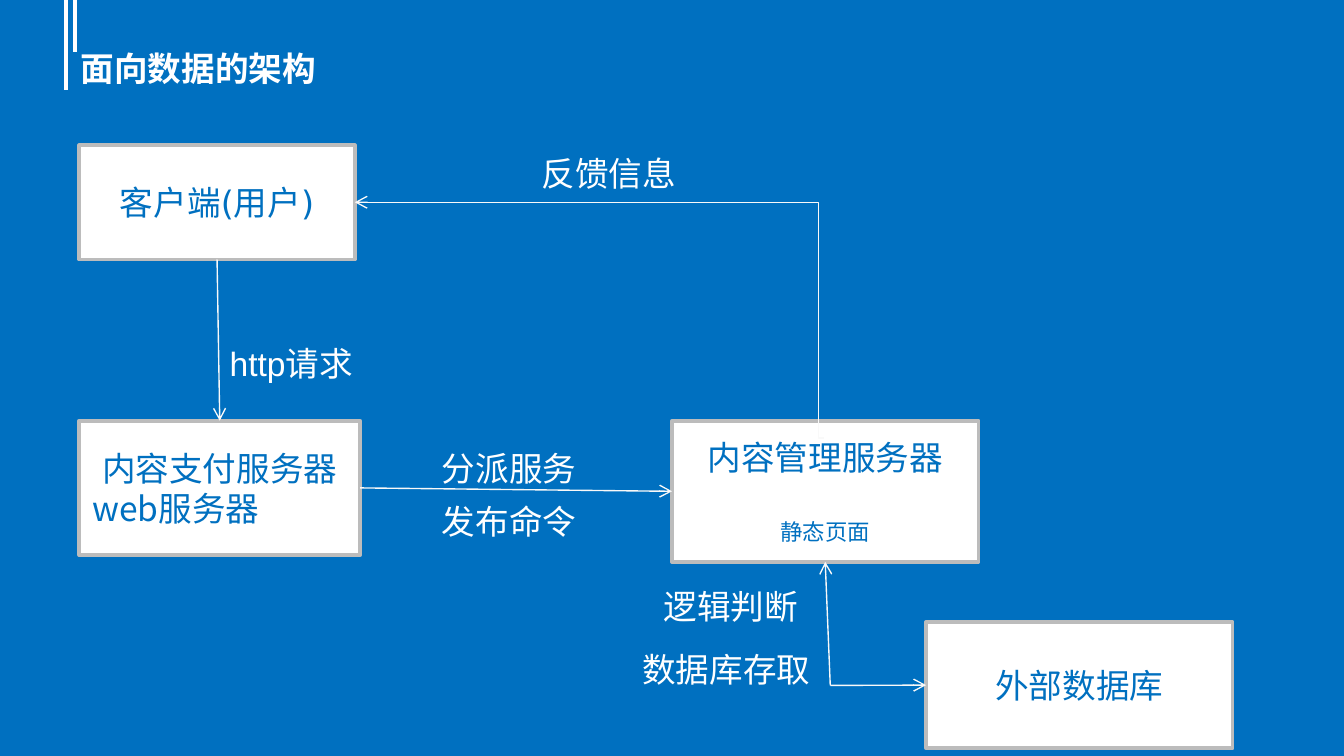
from dataclasses import dataclass

import pptx
import pptx.dml.color
import pptx.enum.shapes
import pptx.enum.text
import pptx.oxml
import pptx.oxml.ns
import pptx.util

Pt = pptx.util.Pt
RGB = pptx.dml.color.RGBColor.from_string
SHAPE = pptx.enum.shapes.MSO_SHAPE
CONNECTOR = pptx.enum.shapes.MSO_CONNECTOR
ALIGN = pptx.enum.text.PP_ALIGN
ANCHOR = pptx.enum.text.MSO_ANCHOR
TOP, LEFT, BOTTOM, RIGHT = range(4)


@dataclass(frozen=True)
class Theme:
    blue: str = "0070C0"
    white: str = "FFFFFF"
    border: str = "BCBCBC"
    arrow: str = "F9F9F9"
    body: int = 18
    small: int = 12
    title_font: str = "DejaVu Sans"
    box_font: str = "Noto Sans CJK SC"
    label_font: str = "Arial"


class Deck:
    def __init__(self, prs, theme):
        self.theme = theme
        self.slide = prs.slides.add_slide(prs.slide_layouts[5])
        fill = self.slide.background.fill
        fill.solid()
        fill.fore_color.rgb = RGB(theme.blue)

    def set_text(self, p, text, font, color, size=None, align=ALIGN.LEFT, bold=False):
        p.text = text
        p.alignment = align
        p.font.name = font
        p.font.size = Pt(size or self.theme.body)
        p.font.bold = bold
        p.font.color.rgb = RGB(color)

    def title(self, text, x, y, w, h):
        sp = self.slide.shapes.title
        sp.left, sp.top, sp.width, sp.height = Pt(x), Pt(y), Pt(w), Pt(h)
        tf = sp.text_frame
        tf.vertical_anchor = ANCHOR.MIDDLE
        self.set_text(tf.paragraphs[0], text, self.theme.title_font, self.theme.white, bold=True)

    def box(self, lines, x, y, w, h, shape=SHAPE.FLOWCHART_PROCESS, font=None):
        """Draw a box; each line is (text, size, alignment, space before)."""
        sp = self.slide.shapes.add_shape(shape, Pt(x), Pt(y), Pt(w), Pt(h))
        sp.shadow.inherit = False
        sp.fill.solid()
        sp.fill.fore_color.rgb = RGB(self.theme.white)
        sp.line.color.rgb = RGB(self.theme.border)
        sp.line.width = Pt(2)
        tf = sp.text_frame
        tf.word_wrap = True
        tf.vertical_anchor = ANCHOR.MIDDLE
        for i, (text, size, align, gap) in enumerate(lines):
            p = tf.add_paragraph() if i else tf.paragraphs[0]
            if gap:
                p.space_before = Pt(gap)
            self.set_text(p, text, font or self.theme.box_font, self.theme.blue, size, align)
        return sp

    def label(self, text, x, y, w):
        sp = self.slide.shapes.add_textbox(Pt(x), Pt(y), Pt(w), Pt(29))
        tf = sp.text_frame
        tf.word_wrap = True
        tf.auto_size = pptx.enum.text.MSO_AUTO_SIZE.SHAPE_TO_FIT_TEXT
        self.set_text(tf.paragraphs[0], text, self.theme.label_font, self.theme.white)

    def line(self, start, end, color, width, kind=CONNECTOR.STRAIGHT):
        cn = self.slide.shapes.add_connector(kind, *(Pt(v) for v in (*start, *end)))
        cn.line.color.rgb = RGB(color)
        cn.line.width = Pt(width)
        cn._element.spPr.append(pptx.oxml.parse_xml(
            f'<a:effectLst {pptx.oxml.ns.nsdecls("a")}/>'))
        return cn

    def arrow(self, start=(0, 0), end=(0, 0), source=None, target=None,
              kind=CONNECTOR.STRAIGHT, bend=None):
        """Draw an arrow; source and target are (box, side), bend is in 1/100000."""
        cn = self.line(start, end, self.theme.arrow, 0.75, kind)
        if source:
            cn.begin_connect(*source)
        if target:
            cn.end_connect(*target)
        ns = pptx.oxml.ns.nsdecls("a")
        cn._element.spPr.get_or_add_ln().append(pptx.oxml.parse_xml(
            f'<a:tailEnd {ns} type="arrow"/>'))
        if bend is not None:
            cn._element.spPr.prstGeom.get_or_add_avLst().append(pptx.oxml.parse_xml(
                f'<a:gd {ns} name="adj1" fmla="val {bend}"/>'))


def main():
    prs = pptx.Presentation()
    prs.slide_width, prs.slide_height = Pt(720), Pt(405)
    theme = Theme()
    deck = Deck(prs, theme)

    for x, length in ((35.3, 48.2), (40.3, 28.1)):
        deck.line((x, 0), (x, length), theme.white, 2.25)
    deck.title("面向数据的架构", 36, 16.5, 648, 40.3)

    body, center = theme.body, ALIGN.CENTER
    client = deck.box([("客户端(用户)", body, center, 0)],
                      42.5, 77.8, 147.6, 61.2, font=theme.title_font)
    web = deck.box([("内容支付服务器", body, center, 0), ("web服务器", body, ALIGN.LEFT, 0)],
                   42.5, 225.4, 150.5, 72, SHAPE.RECTANGLE)
    manager = deck.box([("内容管理服务器", body, center, 0), ("静态页面", theme.small, center, 22)],
                       360, 225.4, 164.2, 75.6)
    database = deck.box([("外部数据库", body, center, 0)], 496.1, 333.2, 164.2, 67.7)

    deck.arrow(source=(client, BOTTOM), target=(web, TOP))
    deck.arrow(source=(web, RIGHT), target=(manager, LEFT))
    deck.arrow((441.4, 234.7), (190.1, 108.4), kind=CONNECTOR.ELBOW, bend=1100)
    corner = (444.8, 367.2)
    deck.arrow(corner, target=(database, LEFT))
    deck.arrow(corner, target=(manager, BOTTOM))

    for text, x, y, w in (
        ("http请求", 115.9, 180, 85),
        ("分派服务", 229.7, 236.2, 93.6),
        ("发布命令", 229.7, 265, 93.6),
        ("逻辑判断", 348.5, 310.3, 88.6),
        ("数据库存取", 337, 344.2, 109.4),
        ("反馈信息", 283, 78.5, 94.3),
    ):
        deck.label(text, x, y, w)

    prs.save("out.pptx")


if __name__ == "__main__":
    main()
